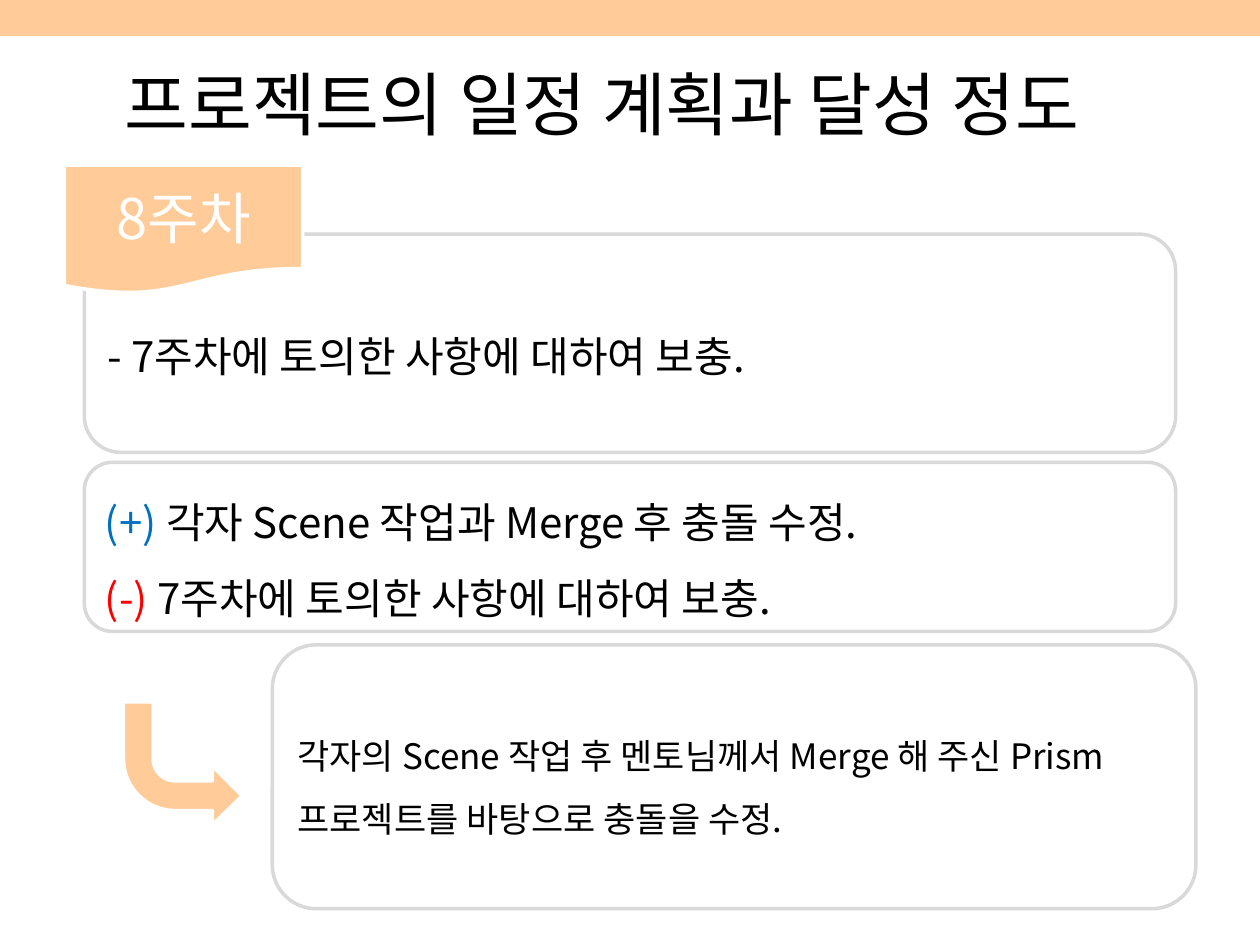
from lxml.etree import SubElement
from pptx import Presentation
from pptx.dml.color import RGBColor
from pptx.enum.shapes import MSO_SHAPE
from pptx.enum.text import MSO_ANCHOR, MSO_AUTO_SIZE, PP_ALIGN
from pptx.oxml.ns import qn
from pptx.util import Cm, Pt

FONT = "Noto Sans CJK KR"
PEACH, WHITE, GREY, BLACK, BLUE, RED = "FFCC99", "FFFFFF", "D9D9D9", "000000", "0070C0", "FF0000"
BOX_LEFT, BOX_WIDTH = 1.7, 22


def colour(value):
    """Turn a hex string into a colour."""
    return RGBColor.from_string(value)


def apply_format(target, values):
    """Set every attribute named in a dict."""
    for name, value in values.items():
        setattr(target, name, value)


def place(item, left, top, width, height):
    """Move and size an item in centimetres."""
    apply_format(item, {"left": Cm(left), "top": Cm(top), "width": Cm(width), "height": Cm(height)})


def write(item, lines, size, align=PP_ALIGN.LEFT, spacing=1.0):
    """Write lines of (text, colour) spans into an item."""
    frame = item.text_frame
    apply_format(frame, {"word_wrap": True, "auto_size": MSO_AUTO_SIZE.NONE,
                         "vertical_anchor": MSO_ANCHOR.MIDDLE})
    for index, line in enumerate(lines):
        para = frame.add_paragraph() if index else frame.paragraphs[0]
        apply_format(para, {"alignment": align, "line_spacing": spacing})
        for text, shade in line:
            span = para.add_run()
            span.text = text
            apply_format(span.font, {"size": Pt(size), "name": FONT})
            span.font.color.rgb = colour(shade)
            SubElement(span.font._element, qn("a:ea"), typeface=FONT)


def add_block(page, kind, bounds, fill, line=None):
    """Add a flat preset shape, outlined when a line colour is given."""
    block = page.shapes.add_shape(kind, *(Cm(length) for length in bounds))
    block.shadow.inherit = False
    block.fill.solid()
    block.fill.fore_color.rgb = colour(fill)
    if line:
        block.line.color.rgb = colour(line)
        block.line.width = Pt(2)
    else:
        block.line.fill.background()
    return block


def add_box(page, bounds, lines, size):
    """Add a white rounded box with text."""
    box = add_block(page, MSO_SHAPE.ROUNDED_RECTANGLE, bounds, WHITE, GREY)
    write(box, lines, size, spacing=1.5)


def add_title(page, text):
    """Fill the title placeholder."""
    title = page.shapes.title
    place(title, 2.26, 1.17, 22.25, 1.8)
    write(title, [[(text, BLACK)]], 39.6)


def add_week_label(page, text):
    """Add the wavy label with the week number."""
    label = add_block(page, MSO_SHAPE.FLOWCHART_DOCUMENT, (1.3, 3.33, 4.8, 2.6), PEACH, WHITE)
    write(label, [[(text, WHITE)]], 32, PP_ALIGN.CENTER)


def add_result_arrow(page):
    """Add the bent arrow that turns down and right."""
    arrow = add_block(page, MSO_SHAPE.BENT_ARROW, (2.49, 14.15, 2.39, 2.49), PEACH, WHITE)
    arrow._element.spPr.xfrm.set("flipV", "1")


def main():
    """Build the weekly progress slide."""
    deck = Presentation()
    apply_format(deck, {"slide_width": Cm(25.4), "slide_height": Cm(19.05)})
    page = deck.slides.add_slide(deck.slide_layouts[5])
    add_block(page, MSO_SHAPE.RECTANGLE, (0, 0, 25.4, 0.73), PEACH)
    add_title(page, "프로젝트의 일정 계획과 달성 정도")
    topic = "7주차에 토의한 사항에 대하여 보충."
    add_box(page, (BOX_LEFT, 4.72, BOX_WIDTH, 4.4), [[("- " + topic, BLACK)]], 24)
    add_week_label(page, "8주차")
    add_box(page, (BOX_LEFT, 9.32, BOX_WIDTH, 3.41), [
        [("(+) ", BLUE), ("각자 Scene 작업과 Merge 후 충돌 수정.", BLACK)],
        [("(-)", RED), (" " + topic, BLACK)],
    ], 24)
    result = "각자의 Scene 작업 후 멘토님께서 Merge 해 주신 Prism 프로젝트를 바탕으로 충돌을 수정."
    add_box(page, (5.49, 13, 18.62, 5.32), [[(result, BLACK)]], 20)
    add_result_arrow(page)
    deck.save("out.pptx")


main()
